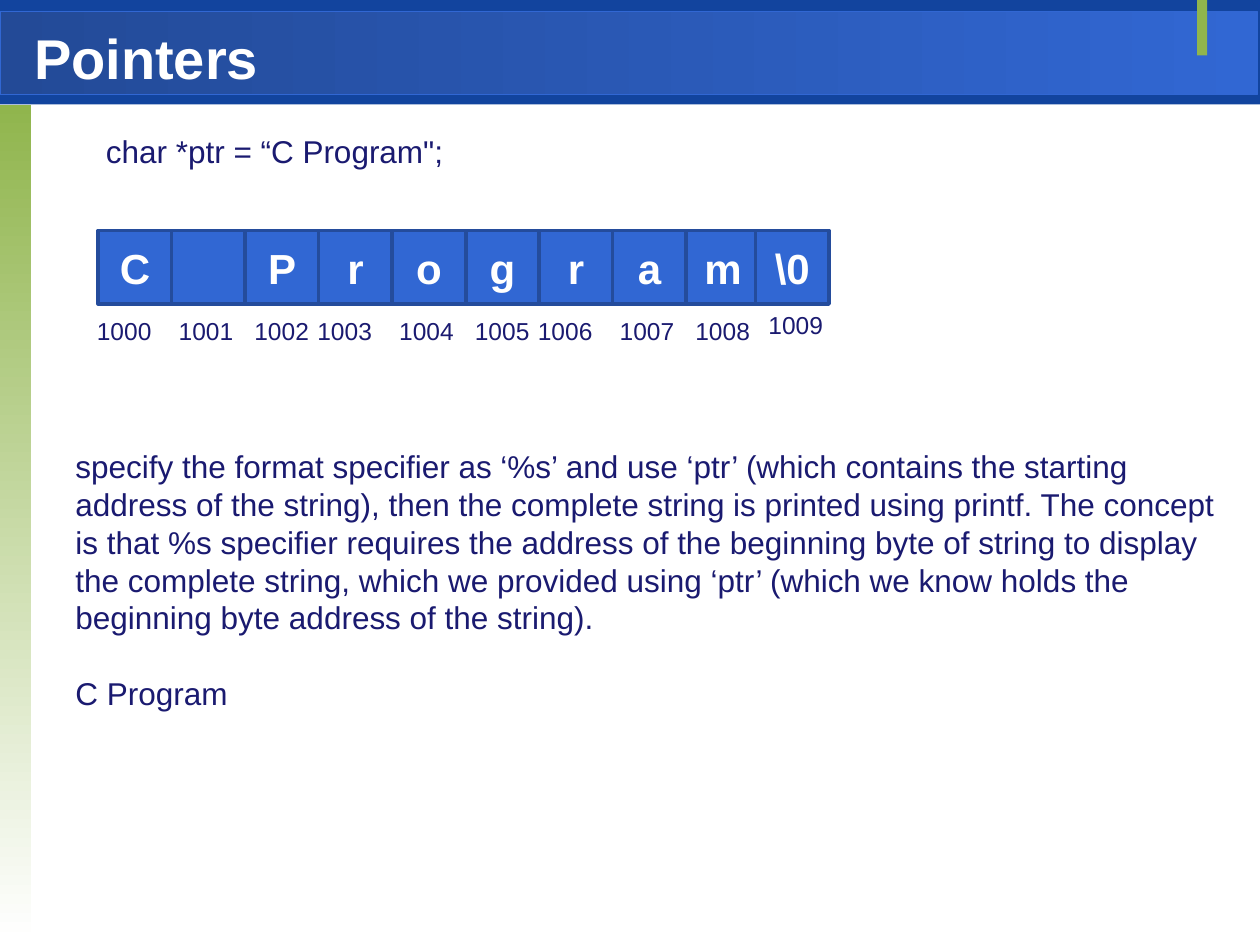
from lxml import etree
from pptx import Presentation
from pptx.dml.color import RGBColor as Rgb
from pptx.enum.shapes import MSO_SHAPE as Shape
from pptx.enum.text import MSO_ANCHOR as Anchor, MSO_AUTO_SIZE as Fit, PP_ALIGN as Align
from pptx.oxml.ns import qn
from pptx.util import Inches, Pt

WHITE = Rgb(0xFF, 0xFF, 0xFF)
NAVY = Rgb(0x1A, 0x1A, 0x70)
ROYAL = Rgb(0x12, 0x44, 0x9E)
DUSK = Rgb(0x23, 0x4A, 0x97)
BLUE = Rgb(0x31, 0x67, 0xD3)
EDGE = Rgb(0x24, 0x4C, 0x9C)
GREEN = Rgb(0x90, 0xB5, 0x4D)

LINE = Pt(21.6)
CELL = 7 / 12
LETTERS = ["C", "", "P", "r", "o", "g", "r", "a", "m", "\\0"]
BODY = [
    "specify the format specifier as ‘%s’ and use ‘ptr’ (which contains the starting "
    "address of the string), then the complete string is printed using printf. "
    "The concept is that %s specifier requires the address of the beginning byte of "
    "string to display the complete string, which we provided using ‘ptr’ (which we "
    "know holds the beginning byte address of the string).",
    "C Program",
]


def place(box):
    """Turn a box in inches into lengths."""
    return [Inches(part) for part in box]


def style(para, size, color, bold=False):
    """Set the font of a paragraph."""
    font = para.font
    font.name, font.size, font.bold = "Arial", Pt(size), bold
    font.color.rgb = color


def add_rect(slide, box, colors, angle=0, edge=None, width=1):
    """Add a rectangle with a solid or gradient fill."""
    rect = slide.shapes.add_shape(Shape.RECTANGLE, *place(box))
    rect.shadow.inherit = False
    if len(colors) == 1:
        rect.fill.solid()
        rect.fill.fore_color.rgb = colors[0]
    else:
        rect.fill.gradient()
        rect.fill.gradient_angle = angle
        for stop, color in zip(rect.fill.gradient_stops, colors):
            stop.color.rgb = color
    if edge is None:
        rect.line.fill.background()
    else:
        rect.line.color.rgb = edge
        rect.line.width = Pt(width)
    return rect


def add_text(slide, box, lines, size):
    """Add a wrapped text box and return its frame."""
    frame = slide.shapes.add_textbox(*place(box)).text_frame
    frame.word_wrap = True
    frame.text = "\n".join(lines)
    for para in frame.paragraphs:
        style(para, size, NAVY)
    return frame


def set_tabs(para, stops):
    """Give a paragraph left tab stops."""
    tabs = etree.SubElement(para._p.get_or_add_pPr(), qn("a:tabLst"))
    for stop in stops:
        etree.SubElement(tabs, qn("a:tab"), pos=str(Inches(stop)), algn="l")


def add_frame(slide, box):
    """Draw the header bands and the side bar."""
    left, top, width, height = box
    band = 0.83
    add_rect(slide, (left, top, width, band), [ROYAL])
    add_rect(slide, (left, top + 0.09, width - 0.02, 0.66), [DUSK, BLUE], 0, BLUE, 0.75)
    add_rect(slide, (left, top + band, 0.25, height - band - 0.03), [GREEN, WHITE], 270)
    add_rect(slide, (left + width - 0.5, top, 0.08, 0.44), [GREEN])


def add_title(slide, box):
    """Fill the title and bring it in front of the bands."""
    title = slide.shapes.title
    title.left, title.top, title.width, title.height = place(box)
    frame = title.text_frame
    frame.text = "Pointers"
    frame.auto_size = Fit.NONE
    frame.vertical_anchor = Anchor.TOP
    frame.margin_top = Inches(0.11)
    frame.paragraphs[0].alignment = Align.LEFT
    style(frame.paragraphs[0], 32, WHITE, True)
    title.element.getparent().append(title.element)


def add_cells(slide, box):
    """Draw one cell for each letter, the last one flush right."""
    left, top, width, height = box
    for index, letter in enumerate(LETTERS):
        start = left + min(index * CELL, width - CELL)
        cell = add_rect(slide, (start, top, CELL, height), [BLUE], edge=EDGE, width=2)
        if letter:
            frame = cell.text_frame
            frame.text = letter
            frame.vertical_anchor = Anchor.MIDDLE
            frame.paragraphs[0].alignment = Align.CENTER
            style(frame.paragraphs[0], 24, WHITE, True)


def add_marks(slide, box):
    """Write the addresses in groups of three, then the last one."""
    left, top, width, height = box
    for group in range(3):
        first = 1000 + 3 * group
        text = "\t".join(str(first + step) for step in range(3))
        spot = (left + 1.75 * group, top, width, height)
        frame = add_text(slide, spot, [text], 14)
        set_tabs(frame.paragraphs[0], (0.65, 1.25))
    add_text(slide, (left + 5.33, top - 0.05, width, height), ["1009"], 14)


def add_code(slide, box):
    """Write the declaration."""
    frame = add_text(slide, box, ["char *ptr = “C Program\";"], 18)
    frame.margin_left = Inches(0.17)


def add_body(slide, box):
    """Write the explanation and the printed result."""
    frame = add_text(slide, box, BODY, 18)
    for para in frame.paragraphs:
        para.line_spacing = LINE
    frame.paragraphs[1].space_before = LINE


def main():
    """Build the slide and save it."""
    deck = Presentation()
    deck.slide_width, deck.slide_height = Inches(10), Inches(7.5)
    slide = deck.slides.add_slide(deck.slide_layouts[5])
    add_frame(slide, (0, 0, 10, 7.5))
    add_title(slide, (0.17, 0.08, 7.5, 0.58))
    add_body(slide, (0.5, 3.5, 9.25, 2.83))
    add_cells(slide, (0.78, 1.83, 5.8, CELL))
    add_marks(slide, (0.67, 2.46, 2.08, 0.34))
    add_code(slide, (0.67, 1, 7.83, 0.4))
    deck.save("out.pptx")


if __name__ == "__main__":
    main()
